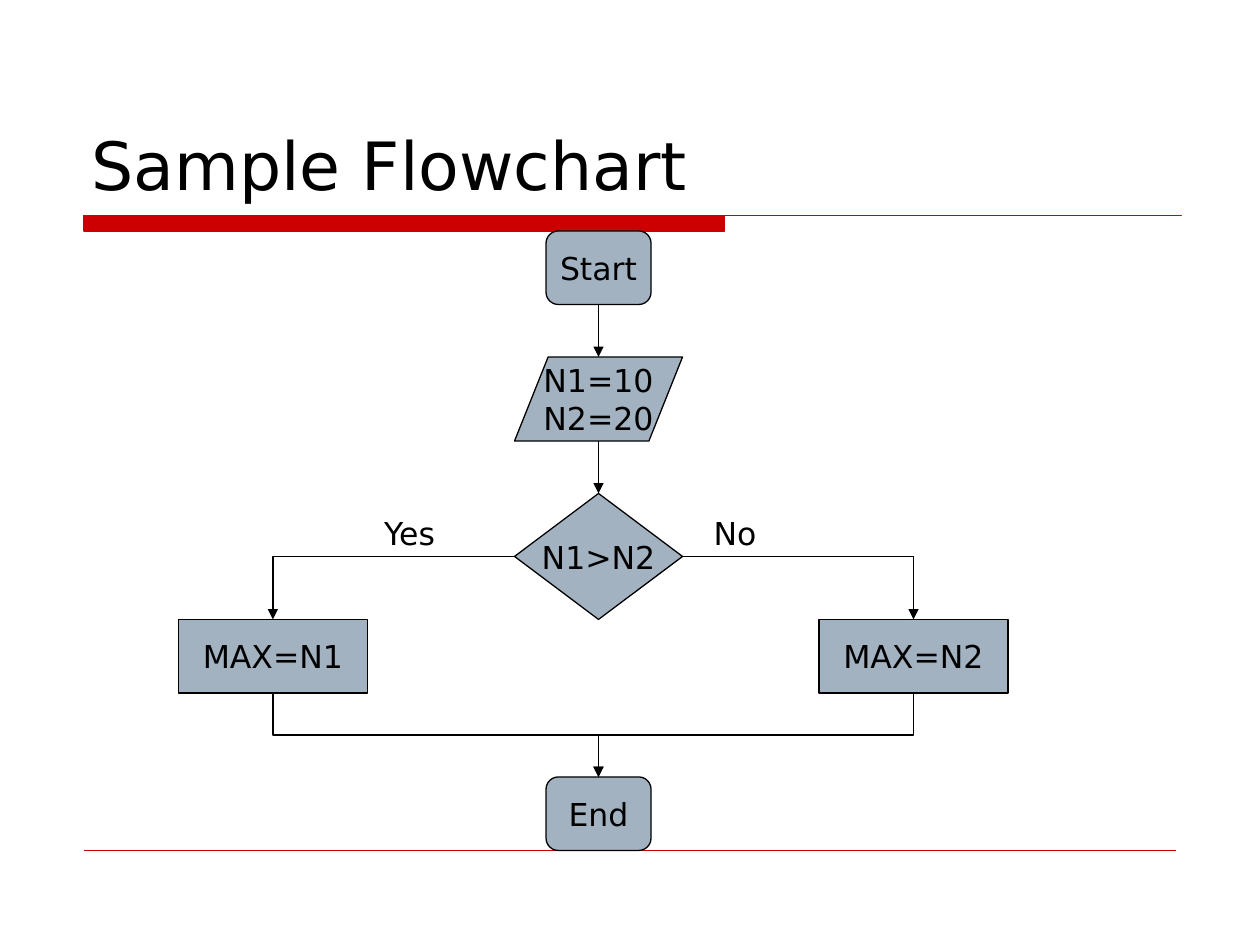
from lxml import etree
from pptx import Presentation
from pptx import util as u
from pptx.dml.color import RGBColor
from pptx.enum import shapes, text
from pptx.oxml.ns import qn

RED = RGBColor(0xCC, 0x00, 0x00)
STEEL = RGBColor(0xA3, 0xB2, 0xC1)
BLACK = RGBColor(0x00, 0x00, 0x00)

# The chart sits on a grid of twelfths of an inch.
COLUMNS, ROWS = 120, 90
CELL = u.Inches(1) // 12
LEFT_AXIS, AXIS, RIGHT_AXIS = 26, 57, 87
START_ROW, INPUT_ROW, TEST_ROW, RESULT_ROW, END_ROW = 22, 34, 47, 59, 74
STEP_HEIGHT, INPUT_HEIGHT, TEST_HEIGHT = 7, 8, 12
BRANCH_ROW = TEST_ROW + TEST_HEIGHT / 2
RULE_LEFT, RULE_TOP, BAR_RIGHT = 8, 20.5, 69

STEP_FONT = {"name": "DejaVu Sans", "size": u.Pt(18)}
TITLE_FONT = {"name": "DejaVu Sans", "size": u.Pt(38), "bold": False}
NODE_FRAME = {"word_wrap": False, "vertical_anchor": text.MSO_ANCHOR.MIDDLE}
LABEL_FRAME = {"word_wrap": False, "auto_size": text.MSO_AUTO_SIZE.NONE}
TITLE_FRAME = {"word_wrap": True, "auto_size": text.MSO_AUTO_SIZE.NONE,
               "vertical_anchor": text.MSO_ANCHOR.BOTTOM}


def grid(*cells):
    return [u.Emu(round(cell * CELL)) for cell in cells]


def apply(target, formats):
    for name, value in formats.items():
        setattr(target, name, value)


def write(shape, wording, frame_format, font_format, align):
    frame = shape.text_frame
    apply(frame, frame_format)
    frame.text = wording
    for paragraph in frame.paragraphs:
        paragraph.alignment = align
        apply(paragraph.font, font_format)
        paragraph.font.color.rgb = BLACK


def paint(shape, fill, outline):
    shape.shadow.inherit = False
    shape.fill.solid()
    shape.fill.fore_color.rgb = fill
    shape.line.color.rgb = outline
    shape.line.width = u.Pt(0.75)


def add_title(slide, wording):
    title = slide.shapes.title
    apply(title, dict(zip(("left", "top", "width", "height"), grid(7.5, 4, 105, 16))))
    write(title, wording, TITLE_FRAME, TITLE_FONT, text.PP_ALIGN.LEFT)


def add_node(slide, kind, wording, axis, row, width, height):
    """Add a flowchart step centred on a vertical axis."""
    node = slide.shapes.add_shape(kind, *grid(axis - width / 2, row, width, height))
    paint(node, STEEL, BLACK)
    write(node, wording, NODE_FRAME, STEP_FONT, text.PP_ALIGN.CENTER)


def add_label(slide, wording, middle, width):
    label = slide.shapes.add_textbox(*grid(middle - width / 2, 48.4, width, 4.8))
    write(label, wording, LABEL_FRAME, STEP_FONT, text.PP_ALIGN.CENTER)


def add_line(slide, kind, start, end, color=BLACK, weight=0.75):
    line = slide.shapes.add_connector(kind, *grid(*start, *end))
    line.line.color.rgb = color
    line.line.width = u.Pt(weight)
    etree.SubElement(line.element.spPr, qn("a:effectLst"))
    return line


def add_arrow(slide, kind, start, end):
    arrow = add_line(slide, kind, start, end)
    outline = arrow.element.spPr.find(qn("a:ln"))
    etree.SubElement(outline, qn("a:tailEnd"), type="triangle")
    return arrow


def add_drop(slide, top, bottom):
    add_arrow(slide, shapes.MSO_CONNECTOR.STRAIGHT, (AXIS, top), (AXIS, bottom))


def add_branch(slide, start_column, axis):
    """Run sideways from the decision, then down to a result."""
    branch = add_arrow(slide, shapes.MSO_CONNECTOR.ELBOW,
                       (start_column, BRANCH_ROW), (axis, RESULT_ROW))
    branch.element.spPr.find(qn("a:prstGeom")).set("prst", "bentConnector2")


def add_merge(slide, axis):
    """Run down, across and down to the end: an elbow turned a quarter round its middle."""
    top = RESULT_ROW + STEP_HEIGHT
    middle_column, middle_row = (axis + AXIS) / 2, (top + END_ROW) / 2
    half_drop, half_run = (END_ROW - top) / 2, (axis - AXIS) / 2
    merge = add_arrow(slide, shapes.MSO_CONNECTOR.ELBOW,
                      (middle_column - half_drop, middle_row - half_run),
                      (middle_column + half_drop, middle_row + half_run))
    merge.element.spPr.find(qn("a:xfrm")).set("rot", str(90 * 60000))


def add_title_rule(slide):
    """Draw the thick bar and the thin rule along its top as one outline."""
    outline = slide.shapes.build_freeform(*grid(RULE_LEFT, RULE_TOP))
    corners = ((112.5, RULE_TOP), (BAR_RIGHT, RULE_TOP),
               (BAR_RIGHT, START_ROW), (RULE_LEFT, START_ROW))
    outline.add_line_segments([grid(*corner) for corner in corners], close=True)
    paint(outline.convert_to_shape(), RED, RED)


def add_foot_rule(slide):
    foot = END_ROW + STEP_HEIGHT
    add_line(slide, shapes.MSO_CONNECTOR.STRAIGHT,
             (RULE_LEFT, foot), (112, foot), RED, 0.25)


def main():
    deck = Presentation()
    deck.slide_width, deck.slide_height = grid(COLUMNS, ROWS)
    slide = deck.slides.add_slide(deck.slide_layouts[5])
    add_title(slide, "Sample Flowchart")
    add_title_rule(slide)
    add_foot_rule(slide)

    kinds = shapes.MSO_SHAPE
    for kind, wording, axis, row, width, height in (
        (kinds.FLOWCHART_DATA, "N1=10\nN2=20", AXIS, INPUT_ROW, 16, INPUT_HEIGHT),
        (kinds.FLOWCHART_DECISION, "N1>N2", AXIS, TEST_ROW, 16, TEST_HEIGHT),
        (kinds.FLOWCHART_PROCESS, "MAX=N1", LEFT_AXIS, RESULT_ROW, 18, STEP_HEIGHT),
        (kinds.FLOWCHART_PROCESS, "MAX=N2", RIGHT_AXIS, RESULT_ROW, 18, STEP_HEIGHT),
        (kinds.FLOWCHART_ALTERNATE_PROCESS, "Start", AXIS, START_ROW, 10, STEP_HEIGHT),
        (kinds.FLOWCHART_ALTERNATE_PROCESS, "End", AXIS, END_ROW, 10, STEP_HEIGHT),
    ):
        add_node(slide, kind, wording, axis, row, width, height)

    add_drop(slide, START_ROW + STEP_HEIGHT, INPUT_ROW)
    add_drop(slide, INPUT_ROW + INPUT_HEIGHT, TEST_ROW)
    for start_column, axis in ((AXIS - 8, LEFT_AXIS), (AXIS + 8, RIGHT_AXIS)):
        add_branch(slide, start_column, axis)
        add_merge(slide, axis)
    add_label(slide, "Yes", 39, 7.8)
    add_label(slide, "No", 70, 6.8)
    deck.save("out.pptx")


if __name__ == "__main__":
    main()
